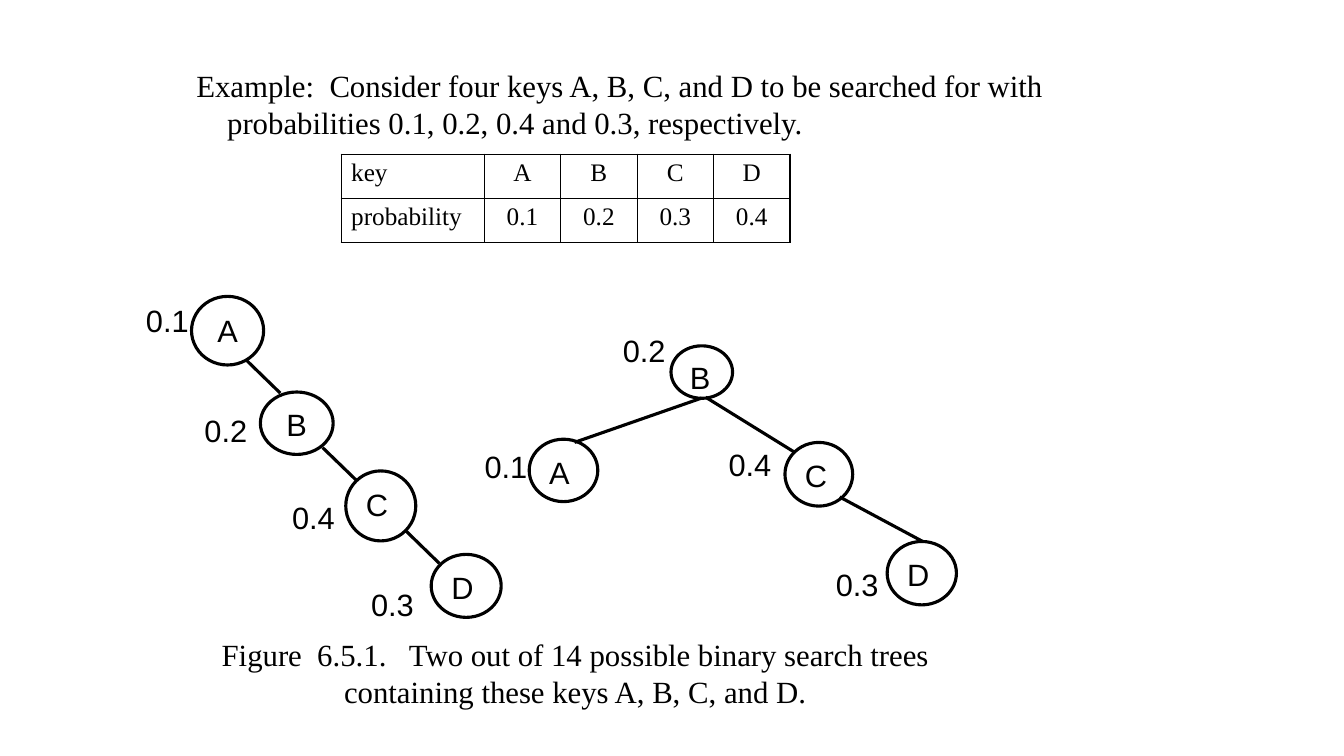
from lxml import etree
from pptx import Presentation
from pptx.dml.color import RGBColor
from pptx.enum.shapes import MSO_CONNECTOR, MSO_SHAPE
from pptx.enum.text import MSO_ANCHOR, PP_ALIGN
from pptx.oxml.ns import qn
from pptx.util import Pt

LEFT, CENTER = PP_ALIGN.LEFT, PP_ALIGN.CENTER
TOP = MSO_ANCHOR.TOP
OVAL = MSO_SHAPE.OVAL
STRAIGHT = MSO_CONNECTOR.STRAIGHT
SERIF, SANS = "Times New Roman", "Arial"
BLACK, WHITE = "000000", "FFFFFF"


def color(hex_string):
    return RGBColor.from_string(hex_string)


def write(text_frame, text, font_name, size=22, alignment=LEFT):
    text_frame.text = text
    text_frame.vertical_anchor = TOP
    paragraph = text_frame.paragraphs[0]
    paragraph.alignment = alignment
    font = paragraph.runs[0].font
    font.name, font.size = font_name, Pt(size)
    font.color.rgb = color(BLACK)
    return paragraph


presentation = Presentation()
presentation.slide_width, presentation.slide_height = Pt(960), Pt(540)
slide = presentation.slides.add_slide(presentation.slide_layouts[6])
shapes = slide.shapes

# Example statement with a hanging indent
statement = shapes.add_textbox(Pt(133.2), Pt(44), Pt(700), Pt(60)).text_frame
statement.word_wrap = True
paragraph = write(
    statement,
    "Example:  Consider four keys A, B, C, and D to be searched for with "
    "probabilities 0.1, 0.2, 0.4 and 0.3, respectively.",
    SERIF,
)
properties = paragraph._p.get_or_add_pPr()
properties.set("marL", str(Pt(22)))
properties.set("indent", str(-Pt(22)))

# Tree nodes: key, alignment, left, top, width, height; then label, left, top
nodes = [
    ("A", CENTER, 136.8, 211.7, 51.5, 49, "0.1", 97.2, 211.7),
    ("B", CENTER, 186, 280, 52, 44.6, "0.2", 139, 290.2),
    ("C", LEFT, 247, 336.4, 50, 50, "0.4", 201.6, 352.8),
    ("D", LEFT, 308, 396, 50, 45, "0.3", 258, 414.7),
    ("B", LEFT, 479.3, 247, 44, 37.5, "0.2", 437.8, 233.3),
    ("A", LEFT, 378, 313.7, 49, 44.6, "0.1", 339.1, 316),
    ("C", LEFT, 560.7, 316, 48.4, 45.5, "0.4", 513.4, 314.6),
    ("D", LEFT, 633.7, 386.8, 49.5, 45.3, "0.3", 590, 400.3),
]
for key, alignment, left, top, width, height, label, label_left, label_top in nodes:
    node = shapes.add_shape(OVAL, Pt(left), Pt(top), Pt(width), Pt(height))
    node.shadow.inherit = False
    node.fill.solid()
    node.fill.fore_color.rgb = color(WHITE)
    node.line.color.rgb = color(BLACK)
    node.line.width = Pt(2.25)
    write(node.text_frame, key, SANS, alignment=alignment)

    label_box = shapes.add_textbox(Pt(label_left), Pt(label_top), Pt(45.4), Pt(33.8))
    label_box.text_frame.word_wrap = False
    write(label_box.text_frame, label, SANS)

# Tree edges: start and end points
edges = [
    (175.7, 257, 200.2, 280.8),
    (230.4, 319.7, 254.9, 343.4),
    (289.4, 378.7, 313.9, 402.5),
    (501.1, 284.4, 410.4, 316),
    (504, 283.7, 568, 323.3),
    (599.8, 355, 658.8, 386.6),
]
for edge in edges:
    connector = shapes.add_connector(STRAIGHT, *(Pt(value) for value in edge))
    connector.line.color.rgb = color(BLACK)
    connector.line.width = Pt(2.25)
    etree.SubElement(connector._element.spPr, qn("a:effectLst"))

# Probability table
rows = [
    ["key", "A", "B", "C", "D"],
    ["probability", "0.1", "0.2", "0.3", "0.4"],
]
column_widths = [102.2] + [54.6] * 4
table = shapes.add_table(
    len(rows), len(column_widths), Pt(243.7), Pt(110.2), Pt(sum(column_widths)), Pt(63)
).table
table.first_row = table.horz_banding = False
for column, width in zip(table.columns, column_widths):
    column.width = Pt(width)
for row_index, row in enumerate(rows):
    table.rows[row_index].height = Pt(31.5)
    for column_index, text in enumerate(row):
        cell = table.cell(row_index, column_index)
        write(cell.text_frame, text, SERIF, 18, CENTER if column_index else LEFT)
        cell_properties = cell._tc.get_or_add_tcPr()
        for side in ("a:lnL", "a:lnR", "a:lnT", "a:lnB"):
            border = etree.SubElement(cell_properties, qn(side), w=str(Pt(1)))
            border_fill = etree.SubElement(border, qn("a:solidFill"))
            etree.SubElement(border_fill, qn("a:srgbClr"), val=BLACK)
        cell.fill.solid()
        cell.fill.fore_color.rgb = color(WHITE)

# Figure caption
caption = shapes.add_textbox(Pt(147.6), Pt(450.7), Pt(526.3), Pt(60.5)).text_frame
caption.word_wrap = True
write(
    caption,
    "Figure  6.5.1.   Two out of 14 possible binary search trees "
    "containing these keys A, B, C, and D.",
    SERIF,
    alignment=CENTER,
)

presentation.save("out.pptx")
